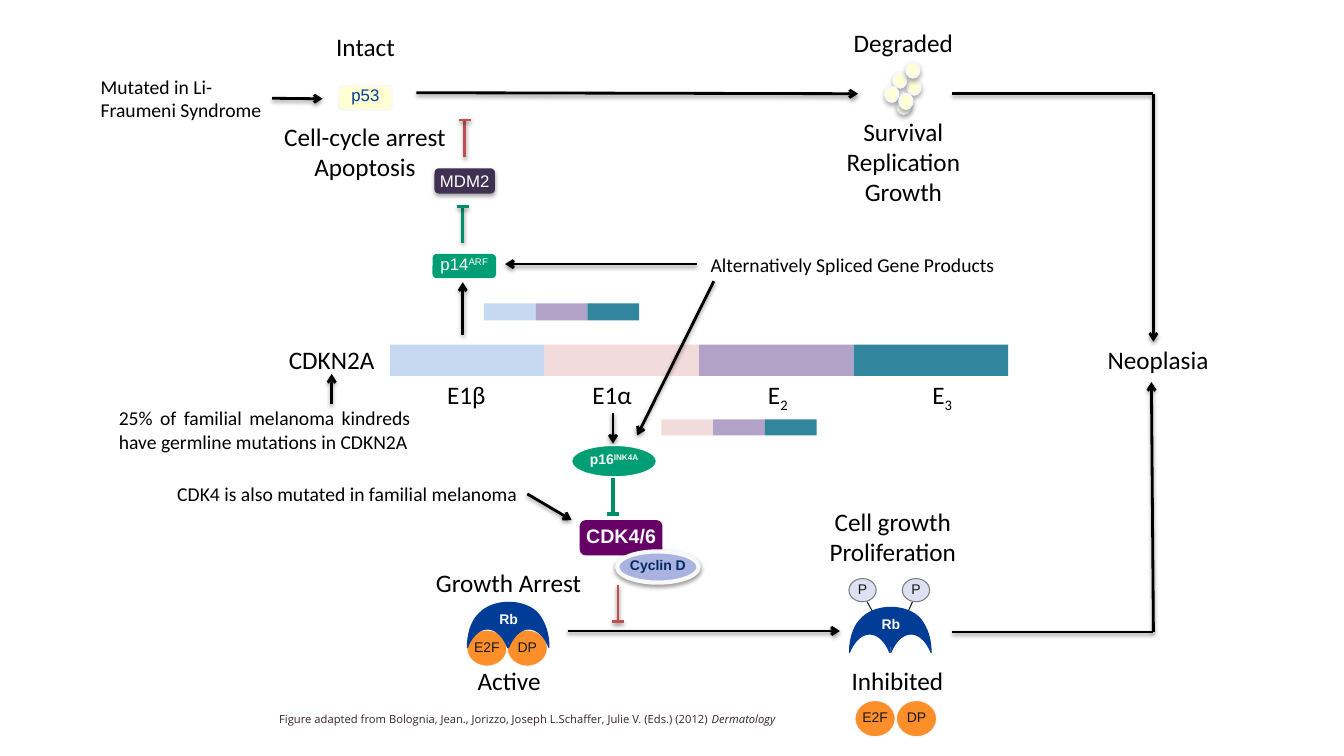
import collections
import dataclasses

import lxml.etree
import pptx
import pptx.dml.color
import pptx.enum.shapes
import pptx.enum.text
import pptx.oxml.ns
import pptx.util

CELL = 0.1  # inches per grid column and row
SHAPE = pptx.enum.shapes.MSO_SHAPE
ALIGN = pptx.enum.text.PP_ALIGN
qn = pptx.oxml.ns.qn

Style = collections.namedtuple("Style", "font size color bold", defaults=(False,))
Shadow = collections.namedtuple("Shadow", "alpha blur dist")


class Theme:
    black, pale, ink = "000000", "F8F8F8", "191919"
    e1b, e1a, e2, e3 = "C6D9F1", "F2DCDB", "B3A2C7", "31859C"
    green, stop_green, stop_red = "009E74", "008E69", "C0504D"
    cream, navy, orange, purple = "FFFFD3", "013D96", "FD8F2B", "660066"
    plum, cyclin, phosphate, grey = "403152", "AAB3E0", "DDE1F3", "7C7C7C"
    heading = Style("Calibri", 18, black)
    note = Style("Calibri", 14, black)
    cite = Style("Open Sans", 8, "392529")
    protein = Style("Arial", 12, "FFFFFF")
    p53 = Style("Arial", 12, navy)
    kinase = Style("Arial", 14, pale, True)
    small = Style("Arial", 10, ink)
    small_bold = Style("Arial", 10, pale, True)
    cyclin_text = Style("Arial", 10, "012964", True)
    soft = Shadow(38, 3.1, 1.6)
    block_shadow = Shadow(35, 3.1, 1.8)
    dot_shadow = Shadow(32, 3.5, 2.2)


def rgb(color):
    return pptx.dml.color.RGBColor.from_string(color)


def cells(*values):
    return [pptx.util.Inches(v * CELL) for v in values]


def set_shadow(sp, shadow):
    """Replace the inherited shadow by the given one, or by none."""
    effects = lxml.etree.SubElement(sp.element.spPr, qn("a:effectLst"))
    if shadow:
        outer = lxml.etree.SubElement(
            effects, qn("a:outerShdw"), blurRad=str(pptx.util.Pt(shadow.blur)),
            dist=str(pptx.util.Pt(shadow.dist)), dir="5400000", rotWithShape="0")
        tint = lxml.etree.SubElement(outer, qn("a:srgbClr"), val=Theme.black)
        lxml.etree.SubElement(tint, qn("a:alpha"), val=str(shadow.alpha * 1000))


def write(tf, text, style, align, tail=None):
    """Fill a frame; tail is a last run as (text, attribute, value)."""
    for i, line in enumerate(text.split("\n")):
        p = tf.add_paragraph() if i else tf.paragraphs[0]
        p.alignment = align
        p.font.name, p.font.size = style.font, pptx.util.Pt(style.size)
        p.font.bold, p.font.color.rgb = style.bold, rgb(style.color)
        p.add_run().text = line
    if tail:
        r = p.add_run()
        r.text = tail[0]
        r.font.italic = False
        r.font._element.set(tail[1], tail[2])


@dataclasses.dataclass
class Region:
    """A box on the slide, in grid cells; its parts are placed from its corner."""
    s: object
    x: float
    y: float
    w: float
    h: float

    def place(self, x, y, w, h):
        return cells(self.x + x, self.y + y, w, h)

    def label(self, text, x, y, w, h, style=Theme.heading, align=ALIGN.CENTER,
              wrap=False, tail=None):
        sp = self.s.shapes.add_textbox(*self.place(x, y, w, h))
        sp.text_frame.word_wrap = wrap
        sp.text_frame.auto_size = pptx.enum.text.MSO_AUTO_SIZE.SHAPE_TO_FIT_TEXT
        write(sp.text_frame, text, style, align, tail)
        return sp

    def block(self, kind, x, y, w, h, fill, line=None, width=0.75, shadow=None,
              text="", style=Theme.small, tail=None, insets=(0.05, 0.1)):
        sp = self.s.shapes.add_shape(kind, *self.place(x, y, w, h))
        sp.fill.solid()
        sp.fill.fore_color.rgb = rgb(fill)
        if line:
            sp.line.color.rgb = rgb(line)
            sp.line.width = pptx.util.Pt(width)
        else:
            sp.line.fill.background()
        set_shadow(sp, shadow)
        if text:
            tf = sp.text_frame
            tf.word_wrap = False
            tf.vertical_anchor = pptx.enum.text.MSO_ANCHOR.MIDDLE
            tf.margin_top, tf.margin_bottom = map(pptx.util.Inches, insets)
            write(tf, text, style, ALIGN.CENTER, tail)
        return sp

    def line(self, x1, y1, x2, y2, color=Theme.black, width=2, head=False,
             shadow=Theme.soft, source=None):
        """Draw a line; source is a box whose right side it starts from."""
        c = self.s.shapes.add_connector(
            pptx.enum.shapes.MSO_CONNECTOR.STRAIGHT,
            *cells(self.x + x1, self.y + y1, self.x + x2, self.y + y2))
        if source:
            c.begin_connect(source, 3)
        c.line.color.rgb = rgb(color)
        c.line.width = pptx.util.Pt(width)
        if head:
            lxml.etree.SubElement(c.element.spPr.find(qn("a:ln")),
                                  qn("a:tailEnd"), type="arrow")
        set_shadow(c, shadow)

    def arrow(self, *ends, source=None):
        self.line(*ends, head=True, source=source)

    def inhibit(self, x, y1, y2, color, **look):
        """Draw a stem that ends in a crossbar at y2."""
        self.line(x, y1, x, y2, color, **look)
        self.line(x - 0.6, y2, x + 0.6, y2, color, **look)

    def exons(self, colors, x, y, w, h):
        step = w / len(colors)
        for i, color in enumerate(colors):
            self.block(SHAPE.RECTANGLE, x + i * step, y, step, h, color)


def gene(g):
    g.exons([Theme.e1b, Theme.e1a, Theme.e2, Theme.e3], 28.7, 1.2, 61.3, 3.1)
    g.label("CDKN2A", 17.6, 0.7, 10.6, 4)
    for text, x, w, sub in (("E1β", 33.3, 5.9, ""), ("E1α", 47.7, 6, ""),
                            ("E", 65.1, 4.1, "2"), ("E", 81.4, 4.1, "3")):
        g.label(text, x, 4.1, w, 4, tail=(sub, "baseline", "-25000") if sub else None)
    g.label("25% of familial melanoma kindreds have germline mutations in CDKN2A",
            0.8, 6.8, 30.9, 5.7, Theme.note, ALIGN.JUSTIFY, True)
    g.arrow(22.9, 7.1, 22.9, 4.1)


def neoplasia(g):
    spine = 20
    g.line(0, 0, spine, 0)
    g.arrow(spine, 0, spine, 24.6)
    g.label("Neoplasia", 14.4, 24.4, 12.1, 4)
    g.line(0, g.h, spine, g.h)
    g.arrow(spine, g.h, spine - 0.2, 28.6)


def p53_row(g):
    cause = g.label("Mutated in Li- Fraumeni Syndrome", 0, 4.9, 18, 5.7,
                    Theme.note, ALIGN.LEFT, True)
    g.arrow(18, 7.8, 23, 7.8, source=cause)
    g.block(SHAPE.ROUNDED_RECTANGLE, 24.6, 6.5, 5.3, 2.4, Theme.cream, Theme.pale, 1.5,
            text="p53", style=Theme.p53)
    g.label("Intact", 23.3, 0.6, 7.9, 4)
    g.label("Cell-cycle arrest\nApoptosis", 18.1, 9.5, 18.2, 7.1)
    g.arrow(32.3, 7.2, 76.1, 7.3)
    g.label("Degraded", 74.6, 0.2, 12, 4)
    for x, y in ((80, 7.8), (81, 5.9), (79.6, 5.2), (78.8, 6.6), (80.9, 4.2), (80.2, 7.3)):
        g.block(SHAPE.OVAL, x, y, 1.3, 1.5, Theme.cream, Theme.pale, 1.5, Theme.dot_shadow)
    g.label("Survival\nReplication\nGrowth", 73.9, 9, 13.4, 10.1)


def p14_branch(g):
    g.inhibit(4.1, 4.6, 0.9, Theme.stop_red)
    g.block(SHAPE.ROUNDED_RECTANGLE, 1.1, 5.7, 6, 2.5, Theme.plum, shadow=Theme.block_shadow,
            text="MDM2", style=Theme.protein, insets=(0.05, 0.05))
    g.inhibit(3.9, 13.1, 9.5, Theme.stop_green)
    g.block(SHAPE.ROUNDED_RECTANGLE, 0.9, 14.2, 6.3, 2.4, Theme.green, text="p14",
            style=Theme.protein, tail=("ARF", "baseline", "30000"))
    g.arrow(3.9, 22.2, 3.9, 17)
    g.exons([Theme.e1b, Theme.e2, Theme.e3], 6, 19.1, 15.4, 1.7)
    g.label("Alternatively Spliced Gene Products", 27.5, 13.6, 35.7, 3.4,
            Theme.note, ALIGN.JUSTIFY, True)
    g.arrow(27.1, 15.2, 8.1, 15.2)
    g.arrow(28.8, 16.9, 21.2, 32.2)


def p16_branch(g):
    g.arrow(44.8, 1, 44.8, 4)
    g.exons([Theme.e1a, Theme.e2, Theme.e3], 49.6, 1.6, 15.4, 1.6)
    g.block(SHAPE.OVAL, 40.7, 4.2, 8.4, 3.1, Theme.green, Theme.pale, text="p16",
            style=Theme.small_bold, tail=("INK4A", "baseline", "30000"), insets=(0.01, 0.05))
    g.inhibit(44.8, 7.4, 11, Theme.stop_green, width=2.75, shadow=None)
    g.block(SHAPE.ROUNDED_RECTANGLE, 41.5, 11.6, 8.2, 3.5, Theme.purple,
            text="CDK4/6", style=Theme.kinase)
    g.block(SHAPE.OVAL, 45.2, 14.7, 8.1, 3.1, Theme.cyclin, Theme.pale, 3, Theme.soft,
            "Cyclin D", Theme.cyclin_text, insets=(0.01, 0.05))
    g.inhibit(45.3, 18, 21.7, Theme.stop_red)
    cause = g.label("CDK4 is also mutated in familial melanoma", 0.6, 7.3, 35.7, 3.4,
                    Theme.note, ALIGN.JUSTIFY, True)
    g.arrow(36.3, 9.3, 40.7, 11.6, source=cause)


def rb_pocket(g):
    for x, y, w, h, turn, bulge in ((0.2, 0.7, 3.7, 4, 90, 0.5), (4.3, 0.7, 3.7, 4, 90, 0.5),
                                    (3, -2.2, 2.3, 6.8, 90, 0.88), (2.9, 2.1, 2.3, 1.4, 270, 0.88)):
        moon = g.block(SHAPE.MOON, x, y, w, h, Theme.navy, Theme.navy)
        moon.rotation = turn
        moon.adjustments[0] = min(bulge, 0.875)
    g.label("Rb", 2.2, 0.4, 3.9, 2.7, Theme.small_bold)


def e2f_dp(g):
    for i, name in enumerate(("E2F", "DP")):
        g.block(SHAPE.OVAL, i * g.w / 2, 0, 4, g.h, Theme.orange, Theme.pale,
                text=name, insets=(0, 0.03))


def rb_row(g):
    def part(x, y, w, h):
        return Region(g.s, g.x + x, g.y + y, w, h)

    g.arrow(14.3, 13.6, 41.3, 13.6)
    e2f_dp(part(4.3, 13.5, 8, 3.6))
    rb_pocket(part(4.3, 10.7, 8.2, 4.7))
    e2f_dp(part(42.8, 20.5, 8.2, 3.6))
    for x, top, foot in ((42.2, 44, 44.5), (47.5, 48.5, 48.1)):
        g.line(top, 10.7, foot, 11.6, Theme.ink, 0.75, shadow=None)
        g.block(SHAPE.OVAL, x, 8.4, 2.7, 2.3, Theme.phosphate, Theme.grey,
                text="P", insets=(0, 0.02))
    rb_pocket(part(42.2, 11.2, 8.2, 4.7))
    g.label("Growth Arrest", 0.1, 6.8, 16.7, 4)
    g.label("Active", 4.3, 16.5, 8.4, 4)
    g.label("Cell growth\nProliferation", 39.2, 0.7, 14.7, 7.1)
    g.label("Inhibited", 41.4, 16.5, 11.2, 4)


def citation(g):
    g.label("Figure adapted from Bolognia, Jean., Jorizzo, Joseph L.Schaffer, Julie V. (Eds.) (2012) ",
            0, 0, g.w, g.h, Theme.cite, wrap=True, tail=("Dermatology", "i", "1"))


def main():
    prs = pptx.Presentation()
    prs.slide_width, prs.slide_height = cells(133.3, 75)
    s = prs.slides.add_slide(prs.slide_layouts[6])
    for draw, box in ((gene, (10, 33, 91, 13)), (neoplasia, (94.4, 9.3, 27, 53.4)),
                      (p53_row, (9, 2, 88, 20)), (p14_branch, (42, 11, 64, 33)),
                      (p16_branch, (16, 40, 66, 22)), (rb_row, (42, 49, 54, 25)),
                      (citation, (21.5, 70.2, 61.6, 2.4))):
        draw(Region(s, *box))
    prs.save("out.pptx")


if __name__ == "__main__":
    main()
